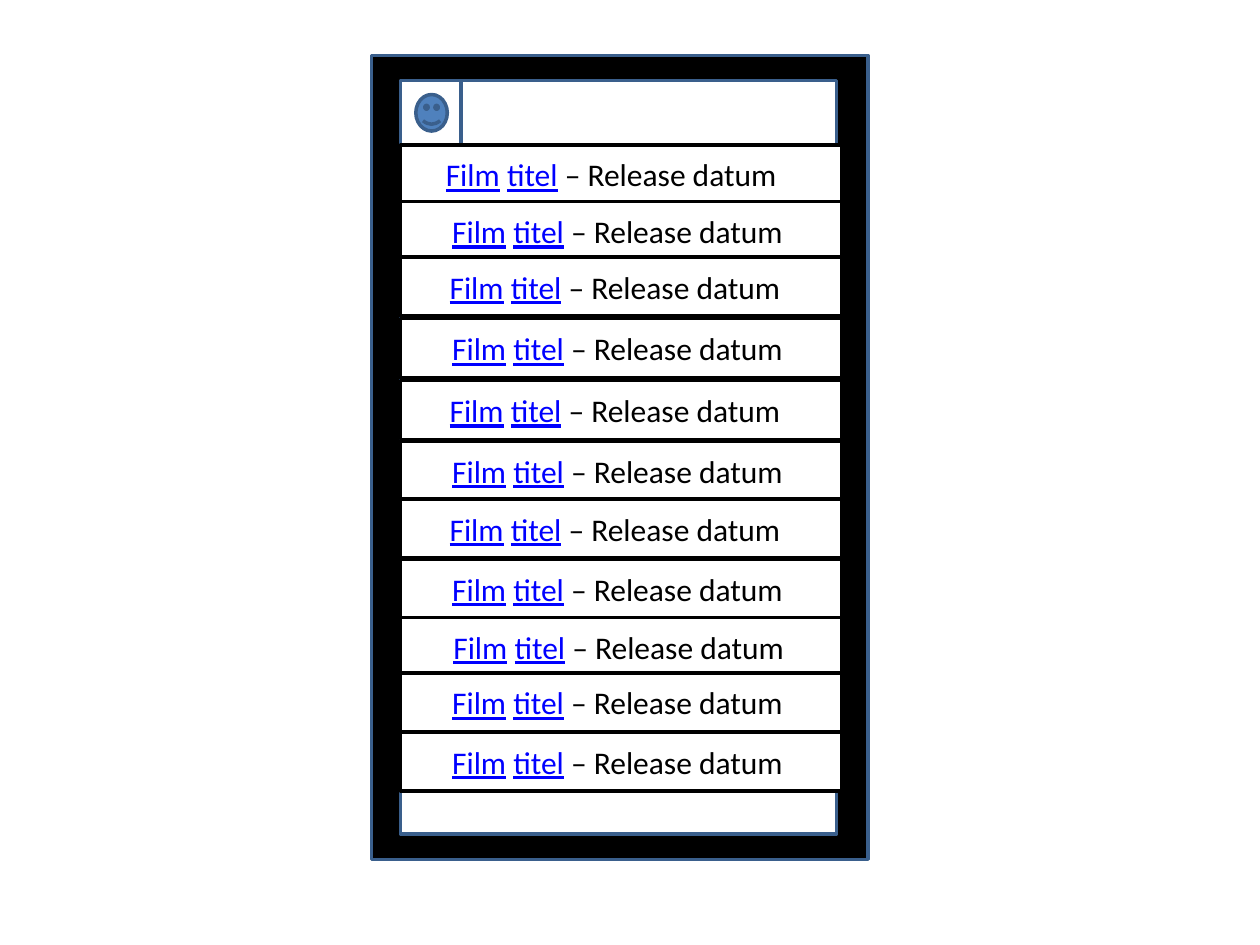
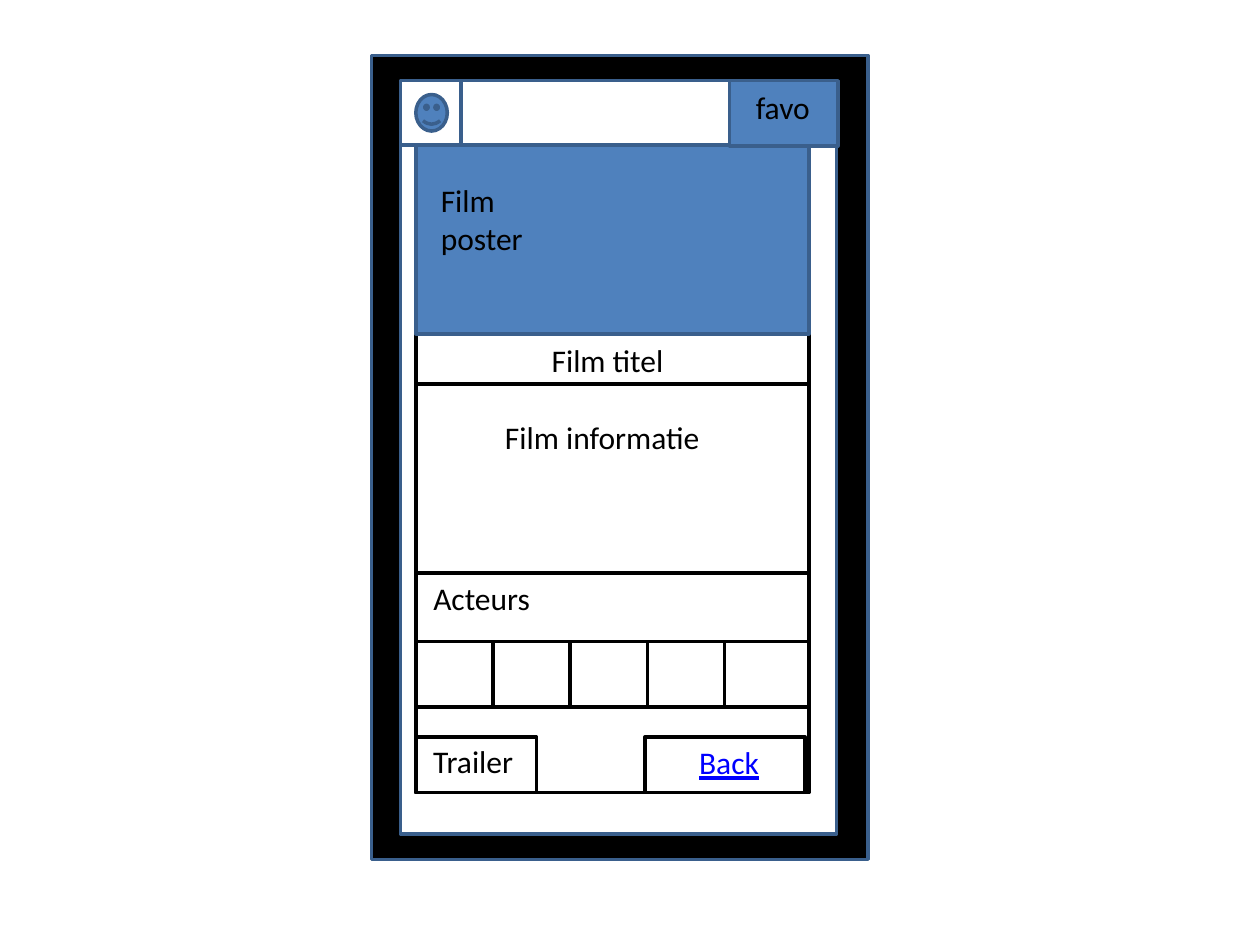
from dataclasses import dataclass

import pptx
import pptx.dml.color
import pptx.enum.shapes
import pptx.enum.text
import pptx.util

SHAPE = pptx.enum.shapes.MSO_SHAPE
FIT = pptx.enum.text.MSO_AUTO_SIZE.SHAPE_TO_FIT_TEXT


@dataclass(frozen=True)
class Theme:
    black: str = "000000"
    white: str = "FFFFFF"
    accent: str = "4F81BD"
    edge: str = "3A5F8C"
    link: str = "0000FF"
    font: str = "Calibri"
    text_size: int = 18
    outline: int = 2


THEME = Theme()
SLIDE_WIDTH = pptx.util.Inches(10)
SLIDE_HEIGHT = pptx.util.Inches(7.5)
COLUMNS, ROWS = 1000, 750

LINKED_TITLE = [("Film", True), (" ", False), ("titel", True), (" – Release datum", False)]
FILM_ROWS = [
    (115, 344), (160, 349), (204, 347), (253, 349), (302, 347), (350, 349),
    (396, 347), (444, 349), (490, 350), (534, 349), (581, 349),
]
CARD_LEFT, CARD_WIDTH = 330, 312
ACTOR_COUNT, ACTOR_TOP, ACTOR_PITCH, ACTOR_HEIGHT = 5, 509, 61.25, 52


def rgb(value):
    return pptx.dml.color.RGBColor.from_string(value)


def place(left, top, width, height):
    cell_width, cell_height = SLIDE_WIDTH / COLUMNS, SLIDE_HEIGHT / ROWS
    return (round(left * cell_width), round(top * cell_height),
            round(width * cell_width), round(height * cell_height))


def add_panel(slide, area, fill=None, line=THEME.black, kind=SHAPE.RECTANGLE):
    panel = slide.shapes.add_shape(kind, *place(*area))
    panel.shadow.inherit = False
    if fill:
        panel.fill.solid()
        panel.fill.fore_color.rgb = rgb(fill)
    else:
        panel.fill.background()
    panel.line.color.rgb = rgb(line)
    panel.line.width = pptx.util.Pt(THEME.outline)


def add_label(slide, area, lines, wrap=False):
    frame = slide.shapes.add_textbox(*place(*area)).text_frame
    for name, value in {"word_wrap": wrap, "auto_size": FIT}.items():
        setattr(frame, name, value)
    paragraph = frame.paragraphs[0]
    for index, pieces in enumerate(lines):
        if index:
            paragraph.add_line_break()
        for words, linked in pieces:
            run = paragraph.add_run()
            run.text = words
            style = {"name": THEME.font, "size": pptx.util.Pt(THEME.text_size), "underline": linked}
            for name, value in style.items():
                setattr(run.font, name, value)
            run.font.color.rgb = rgb(THEME.link if linked else THEME.black)


def add_caption(slide, area, *lines, linked=False):
    add_label(slide, area, [[(line, linked)] for line in lines])


def add_phone(slide):
    add_panel(slide, (295, 44, 394, 638), THEME.black, THEME.edge)
    add_panel(slide, (318, 64, 346, 598), THEME.white, THEME.edge)
    add_panel(slide, (318, 64, 48, 51), THEME.white, THEME.edge)
    add_panel(slide, (330, 75, 25, 29), THEME.accent, THEME.edge, SHAPE.SMILEY_FACE)


def add_film_row(slide, top, text_left):
    add_panel(slide, (318, top, 350, 47), THEME.white)
    add_label(slide, (text_left, top + 3.5, 320, 40), [LINKED_TITLE], wrap=True)


def add_actor_cells(slide):
    for actor in range(ACTOR_COUNT):
        left = CARD_LEFT + actor * ACTOR_PITCH
        width = CARD_LEFT + CARD_WIDTH - left if actor == ACTOR_COUNT - 1 else ACTOR_PITCH
        add_panel(slide, (left, ACTOR_TOP, width, ACTOR_HEIGHT))


def build_film_list(slide):
    add_phone(slide)
    for top, text_left in FILM_ROWS:
        add_film_row(slide, top, text_left)


def build_film_detail(slide):
    add_phone(slide)
    add_panel(slide, (CARD_LEFT, 116, CARD_WIDTH, 513), THEME.white)
    add_panel(slide, (CARD_LEFT, 115, CARD_WIDTH, 150), THEME.accent, THEME.edge)
    add_caption(slide, (340, 139, 86, 71), "Film ", "poster")
    add_caption(slide, (428, 266, 110, 40), "Film titel")
    add_caption(slide, (391, 327, 176, 40), "Film informatie")
    add_panel(slide, (CARD_LEFT, 305, CARD_WIDTH, 150))
    add_caption(slide, (334, 455, 98, 40), "Acteurs")
    add_actor_cells(slide)
    add_panel(slide, (512, 585, 127, 44))
    add_caption(slide, (545, 585, 68, 40), "Back", linked=True)
    add_panel(slide, (579, 64, 86, 52), THEME.accent, THEME.edge)
    add_caption(slide, (590, 65, 64, 40), "favo")
    add_caption(slide, (334, 584, 84, 40), "Trailer")
    add_panel(slide, (CARD_LEFT, 585, 96, 44))


def main():
    deck = pptx.Presentation()
    for name, value in {"slide_width": SLIDE_WIDTH, "slide_height": SLIDE_HEIGHT}.items():
        setattr(deck, name, value)
    for build in (build_film_list, build_film_detail):
        build(deck.slides.add_slide(deck.slide_layouts[6]))
    deck.save("out.pptx")


if __name__ == "__main__":
    main()
